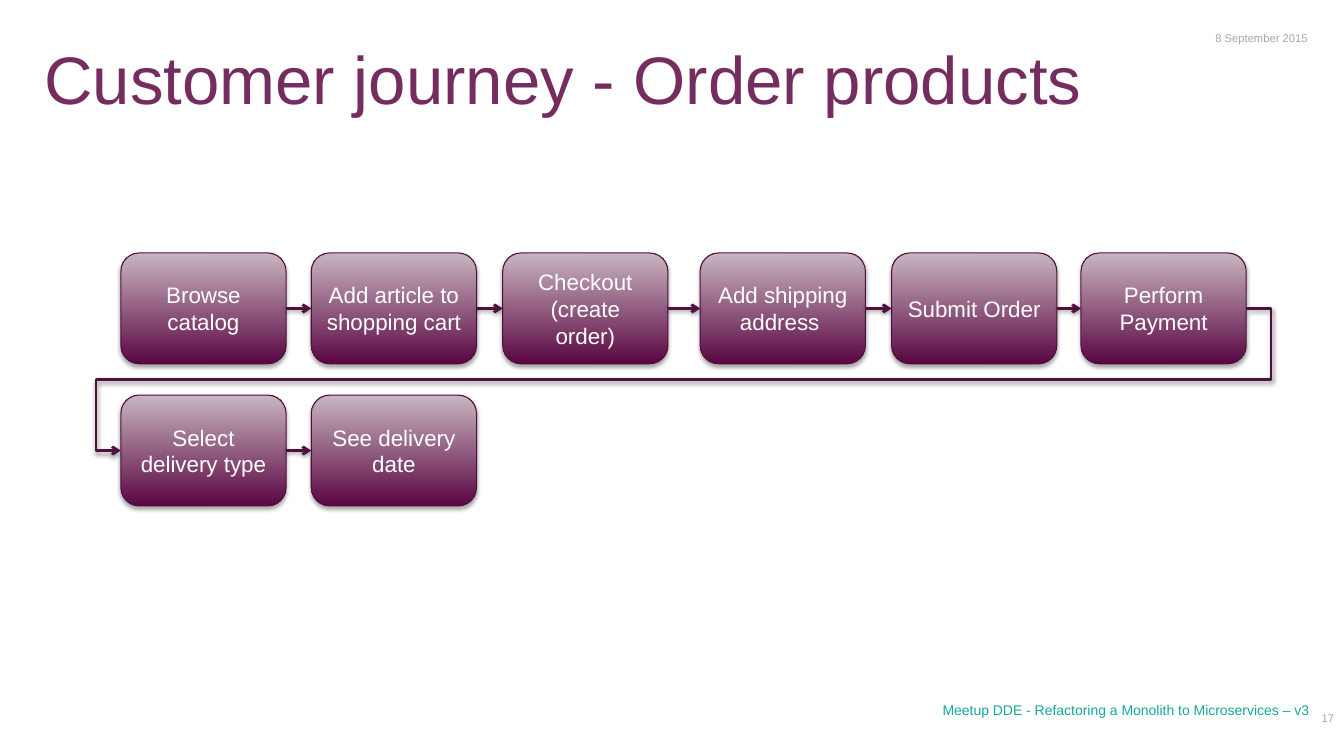
import pptx
import pptx.util
import pptx.dml.color
import pptx.enum.shapes
import pptx.enum.text
import pptx.oxml
import pptx.oxml.ns

Inches = pptx.util.Inches
Pt = pptx.util.Pt
RGBColor = pptx.dml.color.RGBColor
Align = pptx.enum.text.PP_ALIGN
Anchor = pptx.enum.text.MSO_ANCHOR
Link = pptx.enum.shapes.MSO_CONNECTOR

PLUM = RGBColor(0x75, 0x2C, 0x5E)
DARK = RGBColor(0x5A, 0x06, 0x42)
PALE = RGBColor(0xC9, 0xB6, 0xC0)
EDGE = RGBColor(0x50, 0x0E, 0x3D)
ARROW = RGBColor(0x50, 0x10, 0x3E)
WHITE = RGBColor(0xFF, 0xFF, 0xFF)
GREY = RGBColor(0xA6, 0xA7, 0xA6)
TEAL = RGBColor(0x15, 0xA8, 0x9C)

WIDTH, HEIGHT = 1.64, 1.1
LEFT, RIGHT = 1, 3
NS = pptx.oxml.ns.nsdecls("a")


def style(para, size, color, align):
    para.alignment = align
    para.font.name = "Arial"
    para.font.size = Pt(size)
    para.font.color.rgb = color


def shade(shape, dist, alpha):
    shape._element.spPr.append(pptx.oxml.parse_xml(
        f'<a:effectLst {NS}><a:outerShdw blurRad="{Pt(3.1)}" dist="{Pt(dist)}" '
        f'dir="5400000" rotWithShape="0"><a:srgbClr val="000000">'
        f'<a:alpha val="{alpha * 1000}"/></a:srgbClr></a:outerShdw></a:effectLst>'))


deck = pptx.Presentation()
deck.slide_width, deck.slide_height = Inches(13.34), Inches(7.5)
slide = deck.slides.add_slide(deck.slide_layouts[5])

title = slide.shapes.title
title.left, title.top = Inches(0.34), Inches(0.32)
title.width, title.height = Inches(12.03), Inches(0.85)
frame = title.text_frame
frame.margin_top = frame.margin_bottom = 0
frame.vertical_anchor = Anchor.BOTTOM
frame.text = "Customer journey - Order products"
style(frame.paragraphs[0], 48, PLUM, Align.LEFT)

labels = [
    ("8 September 2015", 9.97, 0.26, 3.11, Anchor.TOP, 8, GREY),
    ("Meetup DDE - Refactoring a Monolith to Microservices – v3",
     3.7, 6.84, 9.39, Anchor.MIDDLE, 10, TEAL),
    ("17", 10.23, 6.92, 3.11, Anchor.MIDDLE, 8, GREY),
]
for text, left, top, width, anchor, size, color in labels:
    label = slide.shapes.add_textbox(
        Inches(left), Inches(top), Inches(width), Inches(0.4))
    frame = label.text_frame
    frame.word_wrap = True
    frame.vertical_anchor = anchor
    frame.text = text
    style(frame.paragraphs[0], size, color, Align.RIGHT)

steps = [
    ("Browse catalog", 1.2, 2.51),
    ("Add article to shopping cart", 3.09, 2.51),
    ("Checkout\n(create order)", 4.99, 2.51),
    ("Add shipping address ", 6.95, 2.51),
    ("Submit Order", 8.85, 2.51),
    ("Perform Payment", 10.73, 2.51),
    ("Select delivery type", 1.2, 3.92),
    ("See delivery date", 3.09, 3.92),
]
boxes = []
for text, left, top in steps:
    box = slide.shapes.add_shape(
        pptx.enum.shapes.MSO_SHAPE.ROUNDED_RECTANGLE,
        Inches(left), Inches(top), Inches(WIDTH), Inches(HEIGHT))
    box.fill.gradient()
    box.fill.gradient_angle = 90
    for stop, color, place in zip(box.fill.gradient_stops, (DARK, PALE), (0, 1)):
        stop.color.rgb = color
        stop.position = place
    box.line.color.rgb = EDGE
    box.line.width = Pt(0.75)
    shade(box, 1.8, 35)
    frame = box.text_frame
    frame.word_wrap = True
    frame.vertical_anchor = Anchor.MIDDLE
    para = frame.paragraphs[0]
    para.text = text
    style(para, 16, WHITE, Align.CENTER)
    boxes.append(box)

for start, end in zip(boxes, boxes[1:]):
    wraps = start.top != end.top
    link = slide.shapes.add_connector(
        Link.ELBOW if wraps else Link.STRAIGHT, 0, 0, 0, 0)
    link.begin_connect(start, RIGHT)
    link.end_connect(end, LEFT)
    if wraps:
        shape = link._element.spPr.find(pptx.oxml.ns.qn("a:prstGeom"))
        shape.set("prst", "bentConnector5")
        guides = shape.find(pptx.oxml.ns.qn("a:avLst"))
        for name, value in (("adj1", -2200), ("adj2", 50000), ("adj3", 102200)):
            guides.append(pptx.oxml.parse_xml(
                f'<a:gd {NS} name="{name}" fmla="val {value}"/>'))
    link.line.color.rgb = ARROW
    link.line.width = Pt(2)
    link.line._get_or_add_ln().append(
        pptx.oxml.parse_xml(f'<a:tailEnd {NS} type="arrow"/>'))
    shade(link, 1.6, 38)

deck.save("out.pptx")
